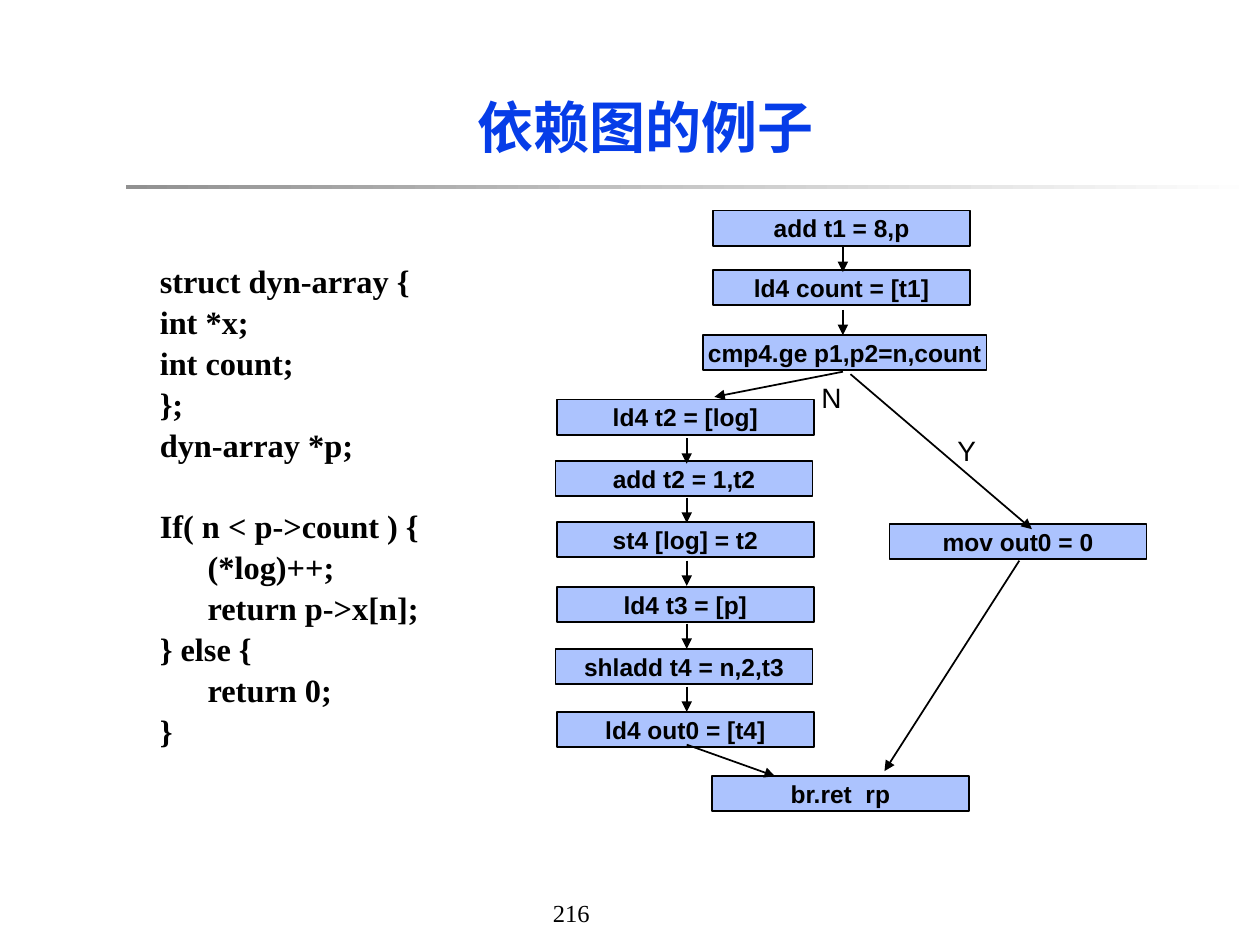
import pptx
import pptx.util
import pptx.dml.color
import pptx.enum.shapes
import pptx.enum.text
import pptx.oxml.ns
import lxml.etree

Inches = pptx.util.Inches
Pt = pptx.util.Pt
ALIGN = pptx.enum.text.PP_ALIGN
ANCHOR = pptx.enum.text.MSO_ANCHOR
RECTANGLE = pptx.enum.shapes.MSO_SHAPE.RECTANGLE

COLORS = {"ink": "000000", "title": "063DE8", "node": "ACC3FE",
          "rule_start": "919191", "rule_end": "FFFFFF"}

CODE = [
    (0, "struct dyn-array {"), (0, "int *x;"), (0, "int count;"), (0, "};"),
    (0, "dyn-array *p;"),
    (0, "If( n < p->count ) {"), (1, "(*log)++;"), (1, "return p->x[n];"),
    (0, "} else {"), (1, "return 0;"), (0, "}"),
]
SECOND_BLOCK = 5

NODE_WIDTH, NODE_HEIGHT = 2.04, 0.28
NODES = [
    (1.25, 0, NODE_WIDTH, "add t1 = 8,p"),
    (1.25, 0.47, NODE_WIDTH, "ld4 count = [t1]"),
    (1.17, 0.99, 2.25, "cmp4.ge p1,p2=n,count"),
    (0.01, 1.5, NODE_WIDTH, "ld4 t2 = [log]"),
    (0, 1.99, NODE_WIDTH, "add t2 = 1,t2"),
    (0.01, 2.47, NODE_WIDTH, "st4 [log] = t2"),
    (0.01, 2.99, NODE_WIDTH, "ld4 t3 = [p]"),
    (0, 3.48, NODE_WIDTH, "shladd t4 = n,2,t3"),
    (0.01, 3.98, NODE_WIDTH, "ld4 out0 = [t4]"),
    (2.65, 2.49, NODE_WIDTH, "mov out0 = 0"),
    (1.24, 4.49, NODE_WIDTH, "br.ret  rp"),
]
STEP_LENGTH = 0.2
STEPS = [(2.28, 0.29), (2.28, 0.79), (1.04, 1.81), (1.04, 2.28),
         (1.04, 2.78), (1.04, 3.28), (1.04, 3.78)]
BRANCHES = [
    (2.28, 1.28, 1.26, 1.48),
    (2.34, 1.3, 3.78, 2.53),
    (1.04, 4.24, 1.74, 4.49),
    (3.68, 2.78, 2.61, 4.45),
]
LABELS = [(2.01, 1.3, "N"), (3.09, 1.72, "Y")]


def rgb(name):
    return pptx.dml.color.RGBColor.from_string(COLORS[name])


def style(para, size, font, color="ink", bold=False):
    para.font.size = Pt(size)
    para.font.name = font
    para.font.bold = bold
    para.font.color.rgb = rgb(color)


def add_text(page, left, top, width, height, text, size, font, **look):
    box = page.shapes.add_textbox(
        Inches(left), Inches(top), Inches(width), Inches(height))
    box.text_frame.word_wrap = True
    para = box.text_frame.paragraphs[0]
    para.text = text
    style(para, size, font, **look)
    return box


def add_title(page, left, top, width, height):
    box = add_text(page, left, top, width, height, "依赖图的例子", 32,
                   "Times New Roman", color="title", bold=True)
    box.text_frame.vertical_anchor = ANCHOR.MIDDLE
    box.text_frame.paragraphs[0].alignment = ALIGN.CENTER


def add_rule(page, left, top, width, height):
    rule = page.shapes.add_shape(
        RECTANGLE, Inches(left), Inches(top), Inches(width), Inches(height))
    rule.shadow.inherit = False
    rule.line.fill.background()
    rule.fill.gradient()
    rule.fill.gradient_angle = 0
    for stop, name, position in zip(rule.fill.gradient_stops,
                                    ("rule_start", "rule_end"), (0, 1)):
        stop.color.rgb = rgb(name)
        stop.position = position


def add_code(page, left, top, width, height):
    box = page.shapes.add_textbox(
        Inches(left), Inches(top), Inches(width), Inches(height))
    frame = box.text_frame
    frame.word_wrap = True
    for index, (level, text) in enumerate(CODE):
        para = frame.add_paragraph() if index else frame.paragraphs[0]
        para.text = text
        para.line_spacing = 0.8
        para.space_before = Pt(28.5 if index == SECOND_BLOCK else 5.7)
        para._p.get_or_add_pPr().set("marL", str(Inches(0.38 * level)))
        style(para, 18.5, "Times New Roman", bold=True)


def add_node(page, left, top, width, text):
    node = page.shapes.add_shape(
        RECTANGLE, Inches(left), Inches(top), Inches(width),
        Inches(NODE_HEIGHT))
    node.shadow.inherit = False
    node.fill.solid()
    node.fill.fore_color.rgb = rgb("node")
    node.line.color.rgb = rgb("ink")
    node.line.width = Pt(1)
    frame = node.text_frame
    frame.word_wrap = False
    frame.vertical_anchor = ANCHOR.MIDDLE
    para = frame.paragraphs[0]
    para.text = text
    para.alignment = ALIGN.CENTER
    style(para, 14, "Arial", bold=True)


def add_arrow(page, start_x, start_y, end_x, end_y):
    arrow = page.shapes.add_connector(
        pptx.enum.shapes.MSO_CONNECTOR.STRAIGHT,
        Inches(start_x), Inches(start_y), Inches(end_x), Inches(end_y))
    arrow.line.color.rgb = rgb("ink")
    arrow.line.width = Pt(1)
    qn = pptx.oxml.ns.qn
    lxml.etree.SubElement(arrow.line._get_or_add_ln(), qn("a:tailEnd"),
                          type="triangle")
    lxml.etree.SubElement(arrow._element.spPr, qn("a:effectLst"))


def add_dependence_graph(page, left, top):
    for x, y, width, text in NODES:
        add_node(page, left + x, top + y, width, text)
    steps = [(x, y, x, y + STEP_LENGTH) for x, y in STEPS]
    for start_x, start_y, end_x, end_y in steps + BRANCHES:
        add_arrow(page, left + start_x, top + start_y,
                  left + end_x, top + end_y)
    for x, y, text in LABELS:
        add_text(page, left + x, top + y, 0.42, 0.37, text, 16, "Arial")


def main():
    deck = pptx.Presentation()
    deck.slide_width = Inches(10)
    deck.slide_height = Inches(7.5)
    page = deck.slides.add_slide(deck.slide_layouts[6])
    add_text(page, 4.29, 7.08, 1.02, 0.33, "216", 14, "Times New Roman")
    add_rule(page, 1, 1.47, 9, 0.03)
    add_title(page, 1, 0.5, 8.25, 1)
    add_code(page, 1.17, 2.08, 3.43, 4.06)
    add_dependence_graph(page, 4.41, 1.67)
    deck.save("out.pptx")


if __name__ == "__main__":
    main()
